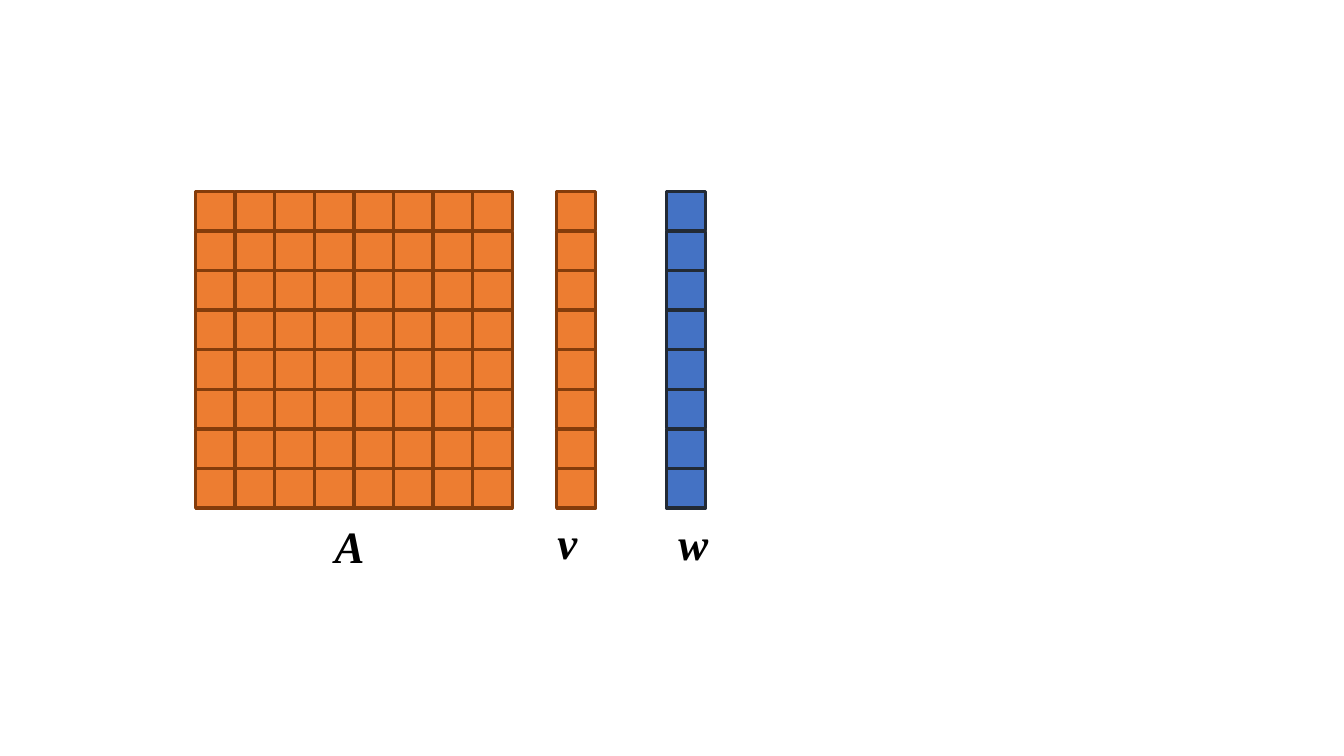
import pptx
import pptx.dml.color
import pptx.enum.shapes
import pptx.enum.text
import pptx.util

Inches = pptx.util.Inches


def color(hex_value):
    return pptx.dml.color.RGBColor.from_string(hex_value)


class MatrixSlide:
    """Holds the style and the current slide."""

    SIZE = 8             # cells along each side
    CELL = 0.39
    PITCH = 2.75 / 7     # distance from one cell to the next
    TOP = 1.9
    ORANGE = ("ED7D31", "843C0B")
    BLUE = ("4472C4", "222A35")
    LABEL_FONT = {"name": "Times New Roman", "size": pptx.util.Pt(32),
                  "bold": True, "italic": True}

    def __init__(self, presentation):
        self.slide = presentation.slides.add_slide(presentation.slide_layouts[6])

    def cell(self, group, left, top, colors):
        fill, line = colors
        square = group.shapes.add_shape(
            pptx.enum.shapes.MSO_SHAPE.RECTANGLE,
            Inches(left), Inches(top), Inches(self.CELL), Inches(self.CELL))
        square.shadow.inherit = False
        square.fill.solid()
        square.fill.fore_color.rgb = color(fill)
        square.line.color.rgb = color(line)
        square.line.width = pptx.util.Pt(2.25)

    def grid(self, left, columns, colors):
        group = self.slide.shapes.add_group_shape()
        for column in range(columns):
            for row in range(self.SIZE):
                self.cell(group, left + column * self.PITCH,
                          self.TOP + row * self.PITCH, colors)

    def label(self, text, left, top):
        box = self.slide.shapes.add_textbox(
            Inches(left), Inches(top), Inches(0.49), Inches(0.64))
        frame = box.text_frame
        frame.word_wrap = True
        frame.auto_size = pptx.enum.text.MSO_AUTO_SIZE.SHAPE_TO_FIT_TEXT
        run = frame.paragraphs[0].add_run()
        run.text = text
        for attribute, value in self.LABEL_FONT.items():
            setattr(run.font, attribute, value)
        run.font.color.rgb = color("000000")


def main():
    presentation = pptx.Presentation()
    presentation.slide_width = Inches(13.33)
    presentation.slide_height = Inches(7.5)
    product = MatrixSlide(presentation)

    # Result vector w
    product.grid(6.61, 1, product.BLUE)

    # Names of the vector and the matrix
    product.label("v", 5.43, 5.06)
    product.label("A", 3.22, 5.1)

    # Matrix A and vector v
    product.grid(1.94, product.SIZE, product.ORANGE)
    product.grid(5.52, 1, product.ORANGE)

    # Name of the result
    product.label("w", 6.63, 5.07)

    presentation.save("out.pptx")


if __name__ == "__main__":
    main()
